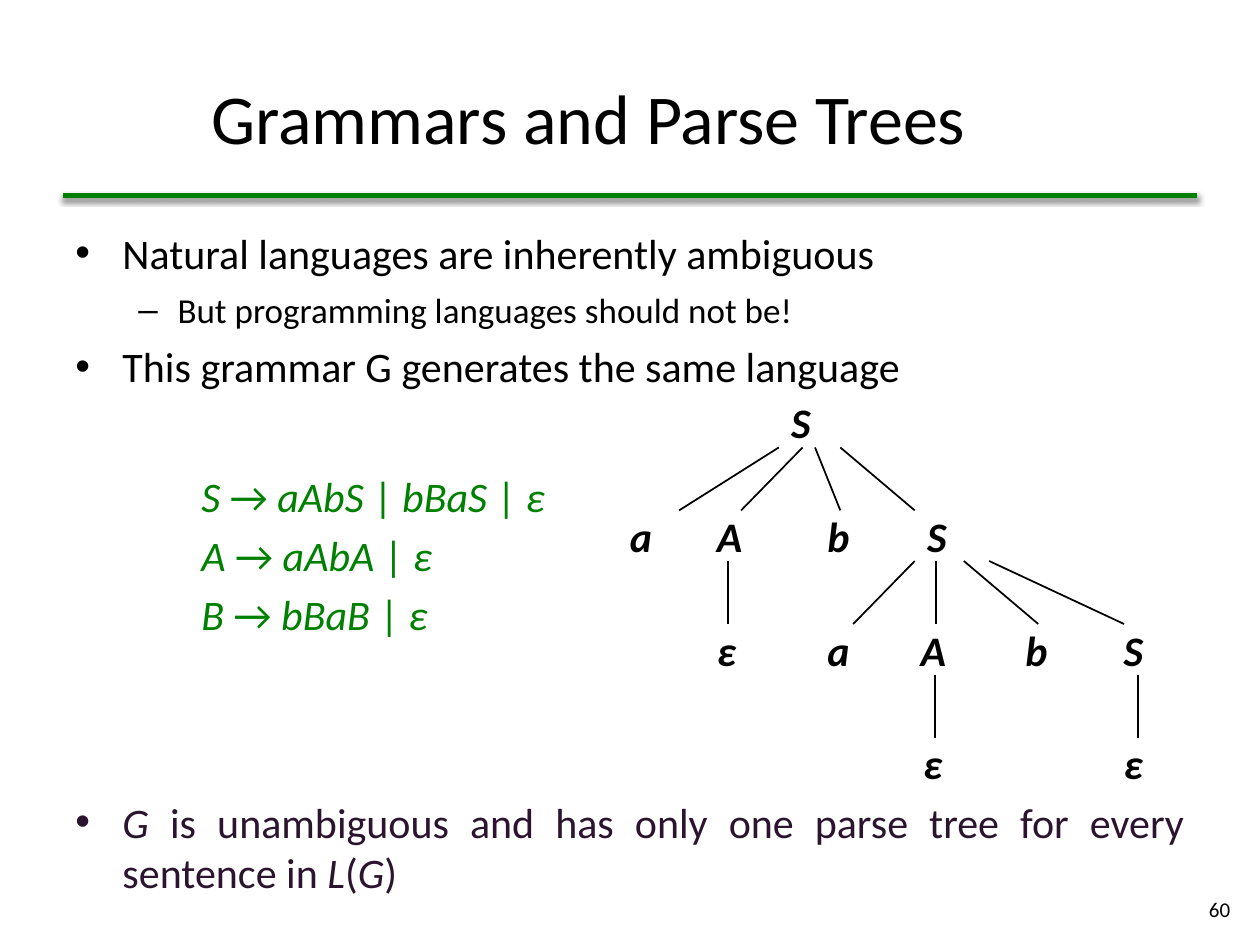
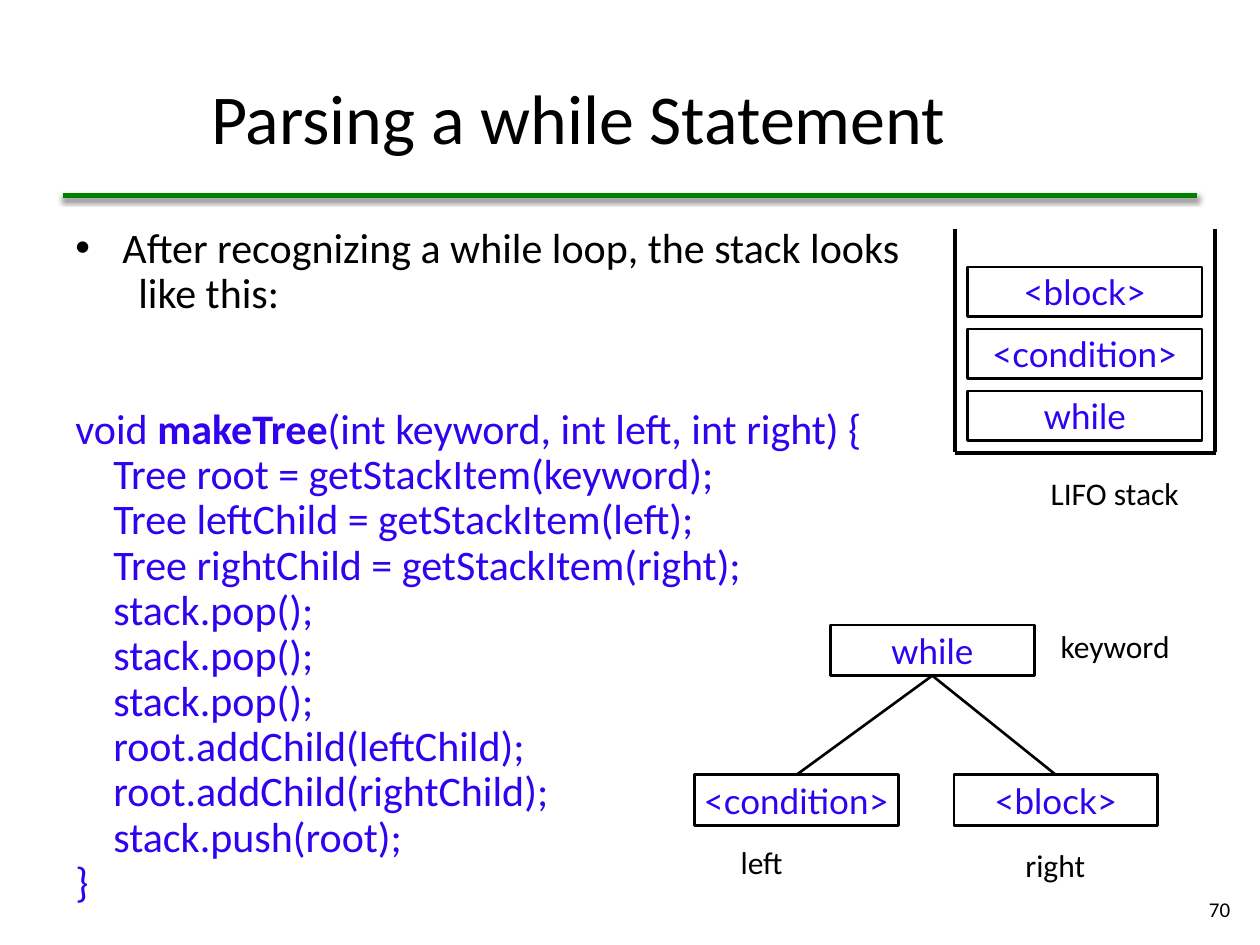
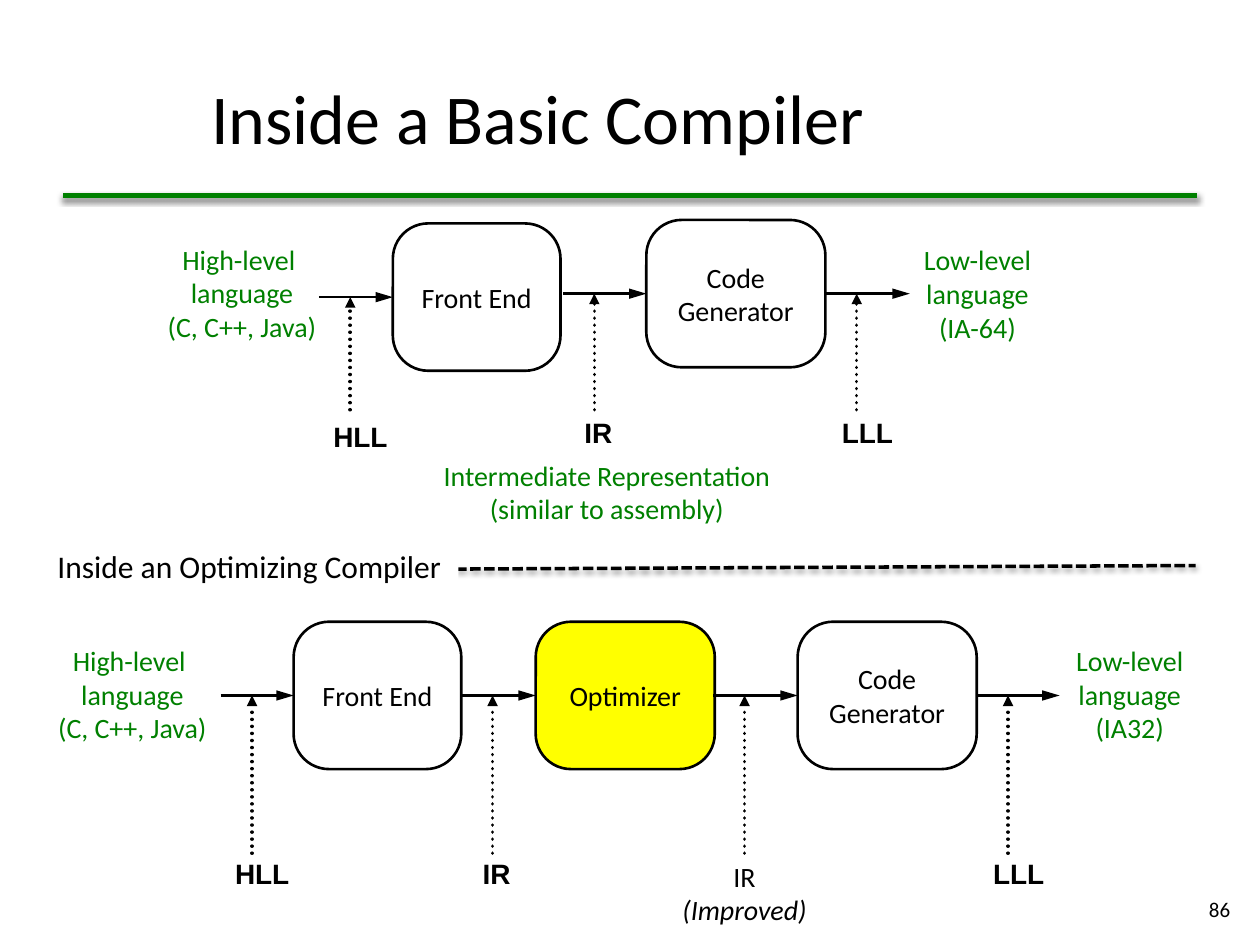
from pptx import Presentation
from pptx import util as u
from pptx.dml.color import RGBColor
from pptx.enum import dml, shapes, text
from pptx.oxml import parse_xml
from pptx.oxml.ns import nsdecls, qn

# ---- Shared look ----
COLORS = {"ink": "000000", "green": "008000", "plum": "2B142D",
          "code": "2F02F0", "paper": "FFFFFF", "highlight": "FFFF00"}
ALIGN = {"l": text.PP_ALIGN.LEFT, "c": text.PP_ALIGN.CENTER,
         "r": text.PP_ALIGN.RIGHT, "j": text.PP_ALIGN.JUSTIFY}
DASH = {"dots": dml.MSO_LINE.ROUND_DOT, "dashes": dml.MSO_LINE.SQUARE_DOT}
BODY = (1.27, 4.45, 22.86, 13.36)
TIGHT = (0.23, 0.1)
NORMAL = (0.25, 0.13)

# ---- Slide 1: grammar and parse tree ----
# Lists of runs alternate between emphasised and plain text.
POINTS = [("•", "Natural languages are inherently ambiguous"),
          ("–", "But programming languages should not be!"),
          ("•", "This grammar G generates the same language")]
GRAMMAR = [["S ", "→ ", "aAbS", " | ", "bBaS", " | ", "ε"],
           ["A ", "→ ", "aAbA", " | ", "ε"],
           ["B ", "→ ", "bBaB", " | ", "ε"]]
CONCLUSION = ["G ", "is unambiguous and has only one parse tree for every sentence in ",
              "L", "(", "G", ")"]
TREE_TOP, TREE_STEP, NODE_W, NODE_H = 8, 2.29, 1.24, 1.02
TREE_ROWS = [[("S", 15.7)],
             [("a", 12.45), ("A", 14.2), ("b", 16.43), ("S", 18.44)],
             [("ε", 14.2), ("a", 16.43), ("A", 18.31), ("b", 20.42), ("S", 22.4)],
             [("ε", 18.36), ("ε", 22.4)]]
TREE_EDGES = [[(15.7, 13.69), (16.18, 14.94), (16.43, 16.94), (16.94, 18.44)],
              [(14.68, 14.68), (18.44, 17.2), (18.87, 18.87), (19.43, 20.93),
               (19.94, 22.66)],
              [(18.85, 18.85), (22.94, 22.94)]]

# ---- Slide 2: stack and syntax tree ----
LOOP_INTRO = ["After recognizing a while loop, the stack looks", "like this:"]
CODE = [["void ", "makeTree", "(int keyword, int left, int right) {"],
        "    Tree root = getStackItem(keyword);",
        "    Tree leftChild = getStackItem(left);",
        "    Tree rightChild = getStackItem(right);",
        "    stack.pop();",
        "    stack.pop();",
        "    stack.pop();",
        "    root.addChild(leftChild);",
        "    root.addChild(rightChild);",
        "    stack.push(root);",
        "}"]
STACK = ["<block>", "<condition>", "while"]
STACK_WALLS = [(19.25, 4.62, 19.25, 9.12), (19.25, 9.14, 24.51, 9.14),
               (24.49, 9.12, 24.49, 4.62)]
ROOT = ("while", 16.74, 12.6)
CHILDREN = [("<condition>", 14, 15.62), ("<block>", 19.23, 15.62)]
CHILD_W, CHILD_H = 4.11, 1.02
CAPTIONS = [("LIFO stack", 20.93, 9.42, 3.12), ("keyword", 21.13, 12.52, 2.74),
            ("left", 14.68, 16.87, 1.4), ("right", 20.42, 16.92, 1.73)]

# ---- Slide 3: two compiler pipelines ----
SOURCE = ["High-level ", "language", "(C, C++, Java)"]
STAGE_H, TAP_OFFSET, LABEL_W = 2.97, 0.63, 2
TAP_LABELS = {"HLL": -0.57, "IR": -0.43, "LLL": -0.53}
PIPELINES = [
    {"stages": [(["Front End"], 7.92, 5.99, 3.38, None),
                (["Code", "Generator"], 13.03, 5.92, 3.61, None)],
     "arrows": [(6.43, 7.92, 5.99, "HLL"), (11.35, 13.03, 5.92, "IR"),
                (16.64, 18.34, 5.92, "LLL")],
     "tap_end": 8.26, "label_drop": 2.36,
     "ends": [(SOURCE, 1.63, 4.78, 6.5),
              (["Low-level", "language", "(IA-64)"], 16.76, 4.8, 5.89)]},
    {"stages": [(["Front End"], 5.92, 14.02, 3.38, None),
                (["Optimizer"], 10.8, 14.02, 3.61, "highlight"),
                (["Code", "Generator"], 16.08, 14.02, 3.61, None)],
     "arrows": [(4.45, 5.92, 14.02, "HLL"), (9.3, 10.8, 14.02, "IR"),
                (14.38, 16.08, 14.02, None), (19.69, 21.36, 14.02, "LLL")],
     "tap_end": 17.2, "label_drop": 3.15,
     "ends": [(SOURCE, 0.89, 12.88, 3.56),
              (["Low-level ", "language", "(IA32)"], 21.44, 12.88, 2.67)]},
]


def rgb(name):
    return RGBColor.from_string(COLORS[name])


def add_para(tf, runs, size, color="ink", font="Calibri", align="l", bold=False,
             italic=False, bullet=None, left=0, hang=0, before=0, after=0,
             spacing=None, emphasis=None):
    """Add a paragraph; emphasis is (font attribute, parity of emphasised runs)."""
    p = tf.paragraphs[0]
    if p.runs:
        p = tf.add_paragraph()
    pPr = p._p.get_or_add_pPr()
    if left:
        pPr.set("marL", str(u.Cm(left)))
        pPr.set("indent", str(-u.Cm(hang)))
    if bullet:
        pPr.append(parse_xml(f'<a:buFont {nsdecls("a")} typeface="Arial"/>'))
        pPr.append(parse_xml(f'<a:buChar {nsdecls("a")} char="{bullet}"/>'))
    p.alignment = ALIGN[align]
    p.space_before, p.space_after = u.Pt(before), u.Pt(after)
    if spacing:
        p.line_spacing = spacing
    for i, words in enumerate([runs] if isinstance(runs, str) else runs):
        r = p.add_run()
        r.text = words
        r.font.size, r.font.name = u.Pt(size), font
        r.font.bold, r.font.italic = bold, italic
        r.font.color.rgb = rgb(color)
        if emphasis:
            setattr(r.font, emphasis[0], i % 2 == emphasis[1])


def set_frame(sp, wrap, middle, insets):
    tf = sp.text_frame
    tf.word_wrap = wrap
    tf.vertical_anchor = text.MSO_ANCHOR.MIDDLE if middle else text.MSO_ANCHOR.TOP
    tf.margin_left = tf.margin_right = u.Cm(insets[0])
    tf.margin_top = tf.margin_bottom = u.Cm(insets[1])
    return tf


def add_text(s, box, lines, size, wrap=False, middle=False, insets=NORMAL, **style):
    sp = s.shapes.add_textbox(*map(u.Cm, box))
    tf = set_frame(sp, wrap, middle, insets)
    for line in lines:
        add_para(tf, line, size, **style)
    return sp


def add_box(s, kind, box, lines, size, fill=None, insets=NORMAL, **style):
    sp = s.shapes.add_shape(kind, *map(u.Cm, box))
    sp.shadow.inherit = False
    if fill:
        sp.fill.solid()
        sp.fill.fore_color.rgb = rgb(fill)
    else:
        sp.fill.background()
    sp.line.color.rgb, sp.line.width = rgb("ink"), u.Pt(1.5)
    tf = set_frame(sp, False, True, insets)
    for line in lines:
        add_para(tf, line, size, align="c", **style)
    return sp


def add_line(s, ends, width, color="ink", dash=None, arrow=None, shadow=0):
    """Draw a line; arrow is the head length, shadow its opacity in percent."""
    c = s.shapes.add_connector(shapes.MSO_CONNECTOR.STRAIGHT, *map(u.Cm, ends))
    c.line.color.rgb, c.line.width = rgb(color), u.Pt(width)
    spPr = c._element.spPr
    ln = spPr.find(qn("a:ln"))
    if dash:
        c.line.dash_style = DASH[dash]
    if dash == "dots":
        ln.set("cap", "rnd")
    if arrow:
        ln.append(parse_xml(
            f'<a:tailEnd {nsdecls("a")} type="triangle" w="med" len="{arrow}"/>'))
    effect = (f'<a:outerShdw blurRad="{u.Pt(3.1)}" dist="{u.Pt(1.6)}" dir="5400000" '
              f'rotWithShape="0"><a:srgbClr val="{COLORS["ink"]}">'
              f'<a:alpha val="{shadow * 1000}"/></a:srgbClr></a:outerShdw>')
    spPr.append(parse_xml(
        f'<a:effectLst {nsdecls("a")}>{effect if shadow else ""}</a:effectLst>'))


def new_slide(prs, title, number):
    s = prs.slides.add_slide(prs.slide_layouts[6])
    add_text(s, (24.03, 17.81, 1.02, 1.02), [number], 12, wrap=True, middle=True,
             align="r")
    add_text(s, (4.01, 0.76, 21, 3.18), [title], 40, wrap=True, middle=True)
    add_line(s, (1.27, 3.94, 24.13, 3.94), 3, "green", shadow=62)
    return s


def grammar_slide(prs):
    s = new_slide(prs, "Grammars and Parse Trees", "60")
    tf = add_text(s, BODY, [], 24, wrap=True).text_frame
    for bullet, words in POINTS:
        size, left, hang = (24, 0.95, 0.95) if bullet == "•" else (20, 2.06, 0.79)
        add_para(tf, words, size, align="j", bullet=bullet, left=left, hang=hang,
                 after=6)
    for i, rule in enumerate(GRAMMAR):
        add_para(tf, rule, 24, "green", align="j", left=2.54,
                 before=4.8 if i else 39.5, emphasis=("italic", 0))
    add_para(tf, CONCLUSION, 24, "plum", align="j", bullet="•", left=0.95, hang=0.95,
             before=90, emphasis=("italic", 0))

    # Parse tree
    for row, nodes in enumerate(TREE_ROWS):
        for symbol, x in nodes:
            add_text(s, (x, TREE_TOP + row * TREE_STEP, NODE_W, NODE_H), [symbol], 24,
                     middle=True, bold=True, italic=True)
    for row, edges in enumerate(TREE_EDGES):
        y = TREE_TOP + row * TREE_STEP
        for x1, x2 in edges:
            add_line(s, (x1, y + NODE_H, x2, y + TREE_STEP), 1)


def while_slide(prs):
    s = new_slide(prs, "Parsing a while Statement", "70")
    tf = add_text(s, BODY, [], 24, wrap=True).text_frame
    add_para(tf, LOOP_INTRO[0], 24, bullet="•", left=0.95, hang=0.95, spacing=0.9)
    add_para(tf, LOOP_INTRO[1], 24, left=1.27, spacing=0.9)
    for i, line in enumerate(CODE):
        add_para(tf, line, 24, "code", spacing=0.9, before=0 if i else 51.5,
                 emphasis=("bold", 1))

    # Stack
    process = shapes.MSO_SHAPE.FLOWCHART_PROCESS
    item = {"size": 20, "color": "code", "font": "Lato"}
    for i, name in enumerate(STACK):
        add_box(s, process, (19.51, 5.38 + 1.25 * i, 4.72, 1), [name], **item)
    for wall in STACK_WALLS:
        add_line(s, wall, 2.25)

    # Syntax tree
    for name, x, y in [ROOT] + CHILDREN:
        add_box(s, process, (x, y, CHILD_W, CHILD_H), [name], **item)
    for name, x, y in CHILDREN:
        add_line(s, (ROOT[1] + CHILD_W / 2, ROOT[2] + CHILD_H, x + CHILD_W / 2, y), 1.5)
    for caption, x, y, w in CAPTIONS:
        add_text(s, (x, y, w, 1.02), [caption], 18)


def compiler_slide(prs):
    s = new_slide(prs, "Inside a Basic Compiler", "86")
    for pipe in PIPELINES:
        for lines, x, y, w, fill in pipe["stages"]:
            sp = add_box(s, shapes.MSO_SHAPE.ROUNDED_RECTANGLE,
                         (x, y - STAGE_H / 2, w, STAGE_H), lines, 16, fill, TIGHT)
            sp.adjustments[0] = 0.24
        for x1, x2, y, label in pipe["arrows"]:
            tap = x1 + TAP_OFFSET
            add_line(s, (x1, y, x2, y), 1.5, arrow="lg")
            add_line(s, (tap, pipe["tap_end"], tap, y), 2, dash="dots", arrow="med")
            if label:
                add_text(s, (tap + TAP_LABELS[label], y + pipe["label_drop"],
                             LABEL_W, 0.84),
                         [label], 16, wrap=True, insets=TIGHT, font="Arial", bold=True)
        for lines, x, y, w in pipe["ends"]:
            add_text(s, (x, y, w, 2.29), lines, 16, wrap=w > 5, insets=TIGHT,
                     color="green", align="c")

    # Notes on the intermediate representation
    add_text(s, (8.64, 9.14, 7.19, 1.6),
             ["Intermediate Representation", "(similar to assembly)"], 16,
             insets=TIGHT, color="green", align="c")
    sp = add_text(s, (13.41, 17.22, 3.2, 1.6), ["IR"], 16, insets=TIGHT, align="c")
    add_para(sp.text_frame, "(Improved)", 16, align="c", italic=True)

    # Divider with its heading
    add_line(s, (1.24, 11.51, 24.1, 11.4), 2, dash="dashes", shadow=38)
    sp = add_text(s, (0.91, 10.9, 8.33, 1.02), ["Inside an Optimizing Compiler"], 18)
    sp.fill.solid()
    sp.fill.fore_color.rgb = rgb("paper")


def main():
    prs = Presentation()
    prs.slide_width, prs.slide_height = u.Cm(25.4), u.Cm(19.05)
    grammar_slide(prs)
    while_slide(prs)
    compiler_slide(prs)
    prs.save("out.pptx")


if __name__ == "__main__":
    main()
